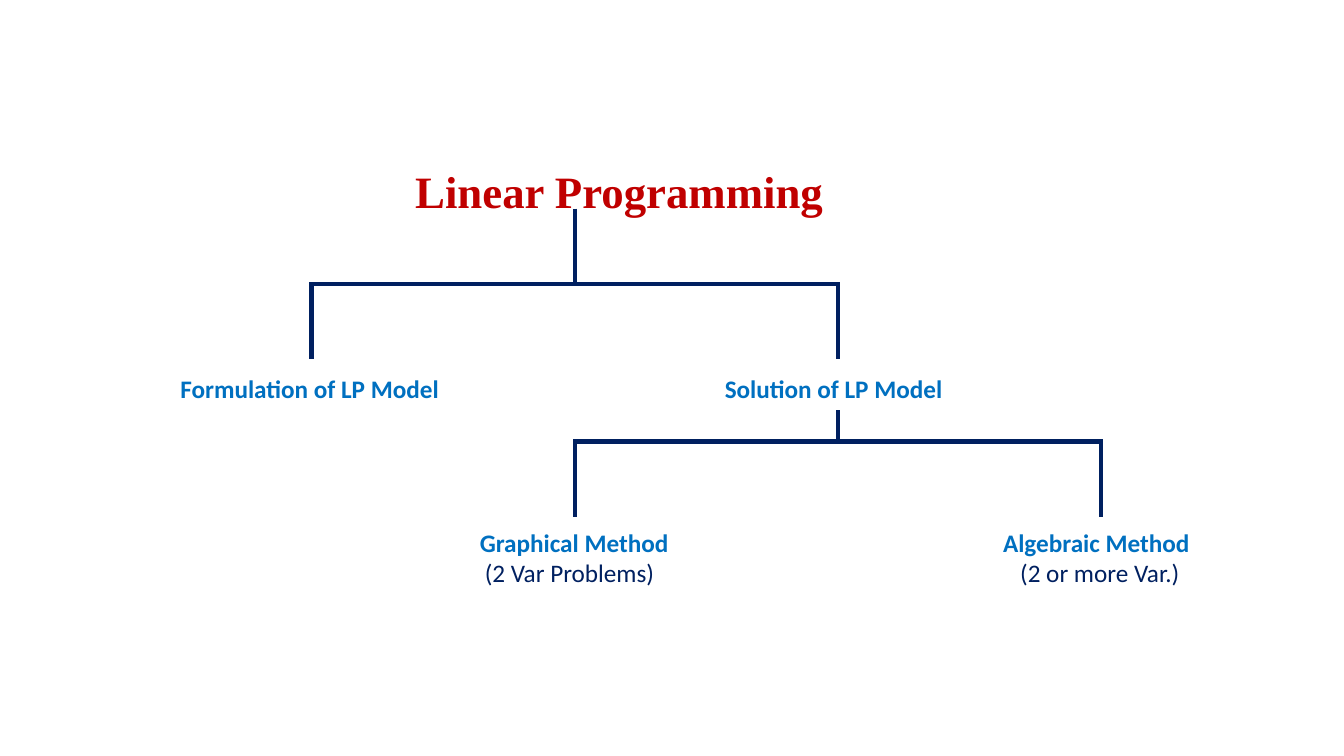
from lxml.etree import SubElement
from pptx import Presentation
from pptx.dml.color import RGBColor
from pptx.enum.shapes import MSO_CONNECTOR as CONN
from pptx.oxml.ns import qn
from pptx.util import Emu, Pt

PX = 9144  # 100 px to the inch
NAVY, BLUE, RED = "002060", "0070C0", "C00000"


def px(n):
    return Emu(n * PX)


def rgb(code):
    return RGBColor.from_string(code)


class TreeSlide:
    """Holds the slide and the style of the tree drawn on it."""

    def __init__(self, prs, font="Calibri", size=18, line_width=3):
        self.slide = prs.slides.add_slide(prs.slide_layouts[6])
        self.font, self.size, self.line_width = font, size, line_width

    def line(self, x1, y1, x2, y2):
        c = self.slide.shapes.add_connector(
            CONN.STRAIGHT, px(x1), px(y1), px(x2), px(y2))
        c.line.color.rgb = rgb(NAVY)
        c.line.width = Pt(self.line_width)
        SubElement(c._element.spPr, qn("a:effectLst"))

    def branch(self, parent_x, top, bar_y, child_xs, bottom):
        self.line(parent_x, top, parent_x, bar_y)
        for x in child_xs:
            self.line(x, bar_y, parent_x, bar_y)
            self.line(x, bar_y - 2, x, bottom)

    def run(self, p, text, color, bold, size=None, font=None):
        r = p.add_run()
        r.text = text
        r.font.name = font or self.font
        r.font.size = Pt(size or self.size)
        r.font.bold = bold
        r.font.color.rgb = rgb(color)

    def text_box(self, x, y, w, h):
        tf = self.slide.shapes.add_textbox(px(x), px(y), px(w), px(h)).text_frame
        tf.word_wrap = True
        return tf

    def title(self, x, y, w, h, text):
        p = self.text_box(x, y, w, h).paragraphs[0]
        self.run(p, text, RED, True, size=32, font="Times New Roman")

    def node(self, x, y, w, h, label, note=None, indent=0):
        tf = self.text_box(x, y, w, h)
        self.run(tf.paragraphs[0], label, BLUE, True)
        if note:
            p = tf.add_paragraph()
            p._p.get_or_add_pPr().set("marL", str(px(indent)))
            self.run(p, note, NAVY, False)


def main():
    prs = Presentation()
    prs.slide_width, prs.slide_height = px(1333), px(750)
    s = TreeSlide(prs)

    # Column centres, equally spaced
    formulation, graphical, solution, algebraic = (309 + 261 * i for i in range(4))

    # Root and its two parts
    s.title(402, 158, 430, 60, "Linear Programming")
    s.branch(graphical, 207, 282, (formulation, solution), 356)
    s.node(169, 365, 278, 40, "Formulation of LP Model")
    s.node(709, 365, 238, 40, "Solution of LP Model")

    # Solution methods
    s.branch(solution, 407, 438, (graphical, algebraic), 513)
    s.node(466, 518, 209, 71, "Graphical Method", "(2 Var Problems)", 5)
    s.node(985, 518, 209, 71, "Algebraic Method", "(2 or more Var.)", 17)

    prs.save("out.pptx")


if __name__ == "__main__":
    main()
